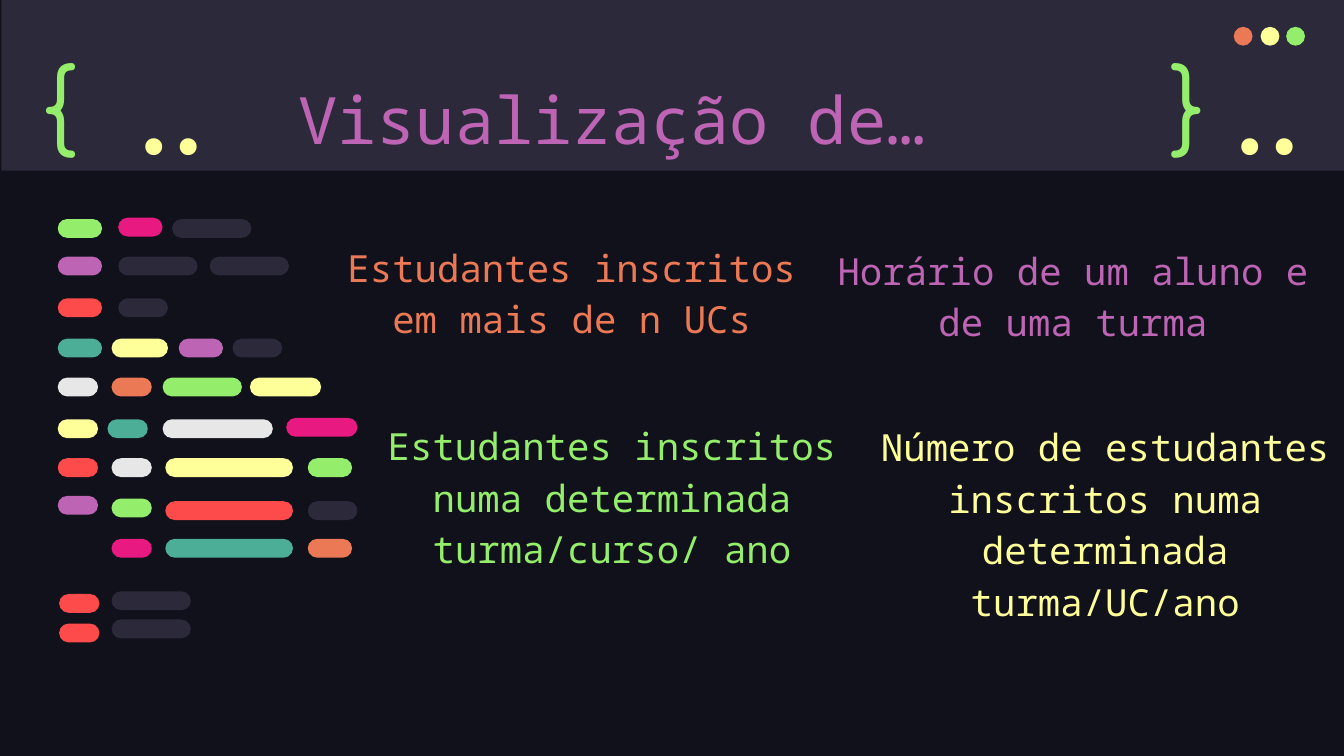
from pptx import Presentation
from pptx.dml.color import RGBColor
from pptx.enum.shapes import MSO_SHAPE
from pptx.enum.text import MSO_ANCHOR, MSO_AUTO_SIZE, PP_ALIGN
from pptx.util import Inches, Pt

HUES = {
    "night": "10111A", "slate": "2C293A", "orange": "EC7955",
    "yellow": "FFFF99", "green": "94EE6B", "pink": "E81A81",
    "purple": "BD64B5", "red": "FD4A4A", "teal": "4CAE97", "white": "E7E7E7",
}
MONO = "Noto Sans Mono"

# Widescreen slide, 16:9
deck = Presentation()
deck.slide_width, deck.slide_height = Inches(10), Inches(10 * 9 / 16)
slide = deck.slides.add_slide(deck.slide_layouts[5])
slide.background.fill.solid()
slide.background.fill.fore_color.rgb = RGBColor.from_string(HUES["night"])


def block(kind, left, top, width, height, hue):
    """Add a plain filled shape."""
    shape = slide.shapes.add_shape(
        kind, Inches(left), Inches(top), Inches(width), Inches(height))
    shape.shadow.inherit = False
    shape.fill.solid()
    shape.fill.fore_color.rgb = RGBColor.from_string(HUES[hue])
    shape.line.fill.background()
    return shape


def write(text, area, hue, size=20, font=MONO, align=PP_ALIGN.CENTER,
          anchor=MSO_ANCHOR.TOP, space=1.0, box=None):
    """Put formatted text in a new text box, or in the given one."""
    left, top, width, height = map(Inches, area)
    if box is None:
        box = slide.shapes.add_textbox(left, top, width, height)
    box.left, box.top, box.width, box.height = left, top, width, height
    frame = box.text_frame
    frame.word_wrap = True
    frame.auto_size = MSO_AUTO_SIZE.NONE
    frame.vertical_anchor = anchor
    frame.margin_left = frame.margin_right = Inches(0.1)
    frame.margin_top = frame.margin_bottom = Inches(0.1)
    para = frame.paragraphs[0]
    para.alignment, para.line_spacing = align, space
    para.space_before = Pt(0)
    run = para.add_run()
    run.text = text
    run.font.size, run.font.name = Pt(size), font
    run.font.color.rgb = RGBColor.from_string(HUES[hue])


# Header band and window dots
block(MSO_SHAPE.RECTANGLE, 0.01, 0, 10, 1.27, "slate")
for left, hue in ((9.18, "orange"), (9.38, "yellow"), (9.57, "green")):
    block(MSO_SHAPE.OVAL, left, 0.2, 0.14, 0.14, hue)

# Four topics
topics = [
    ("Estudantes inscritos em mais de n UCs",
     (2.39, 1.79, 3.73, 0.85), "orange"),
    ("Estudantes inscritos numa determinada turma/curso/ ano",
     (2.69, 3.17, 3.73, 1.18), "green"),
    ("Horário de um aluno e de uma turma",
     (6.12, 1.48, 3.73, 1.18), "purple"),
    ("Número de estudantes inscritos numa determinada turma/UC/ano",
     (6.21, 3.16, 4.03, 1.58), "yellow"),
]
for text, area, hue in topics:
    write(text, area, hue, anchor=MSO_ANCHOR.BOTTOM, space=1.15)

# Code lines: top, then left, width and colour of each pill
lines = [
    (1.63, [(0.43, 0.33, "green"), (1.28, 0.59, "slate")]),
    (1.62, [(0.88, 0.33, "pink")]),
    (1.91, [(0.43, 0.33, "purple"), (0.88, 0.59, "slate"),
            (1.56, 0.59, "slate")]),
    (2.22, [(0.43, 0.33, "red"), (0.88, 0.37, "slate")]),
    (2.52, [(0.43, 0.33, "teal"), (0.83, 0.42, "yellow"),
            (1.33, 0.33, "purple"), (1.73, 0.37, "slate")]),
    (2.81, [(0.43, 0.3, "white"), (0.83, 0.3, "orange"),
            (1.21, 0.59, "green"), (1.86, 0.53, "yellow")]),
    (3.12, [(0.43, 0.3, "yellow"), (0.8, 0.3, "teal"),
            (1.21, 0.82, "white")]),
    (3.11, [(2.13, 0.53, "pink")]),
    (3.41, [(0.43, 0.3, "red"), (0.83, 0.3, "white"),
            (1.23, 0.95, "yellow"), (2.29, 0.33, "green")]),
    (3.69, [(0.43, 0.3, "purple")]),
    (3.71, [(0.83, 0.3, "green")]),
    (3.73, [(1.23, 0.95, "red"), (2.29, 0.37, "slate")]),
    (4.01, [(0.83, 0.3, "pink"), (1.23, 0.95, "teal"),
            (2.29, 0.33, "orange")]),
    (4.42, [(0.44, 0.3, "red")]),
    (4.4, [(0.83, 0.59, "slate")]),
    (4.64, [(0.44, 0.3, "red")]),
    (4.61, [(0.83, 0.59, "slate")]),
]
for top, pills in lines:
    for left, width, hue in pills:
        pill = block(MSO_SHAPE.ROUNDED_RECTANGLE, left, top, width, 0.14, hue)
        pill.adjustments[0] = 0.5

# Title between braces, each followed by two dots
title = slide.shapes.title
slide.shapes._spTree.append(title._element)  # bring above the band
write("Visualização de…", (0.34, 0.49, 8.43, 0.63), "purple", size=35,
      box=title)
for brace, left, dots in (("{", 0.21, 0.73), ("}", 8.61, 8.89)):
    write(brace, (left, 0.22, 0.77, 0.95), "green", size=50,
          font="Comfortaa", align=PP_ALIGN.LEFT)
    write("..", (dots, 0.57, 1.07, 0.6), "yellow", size=50,
          font="Fira Code", align=PP_ALIGN.RIGHT, anchor=MSO_ANCHOR.MIDDLE)

deck.save("out.pptx")
